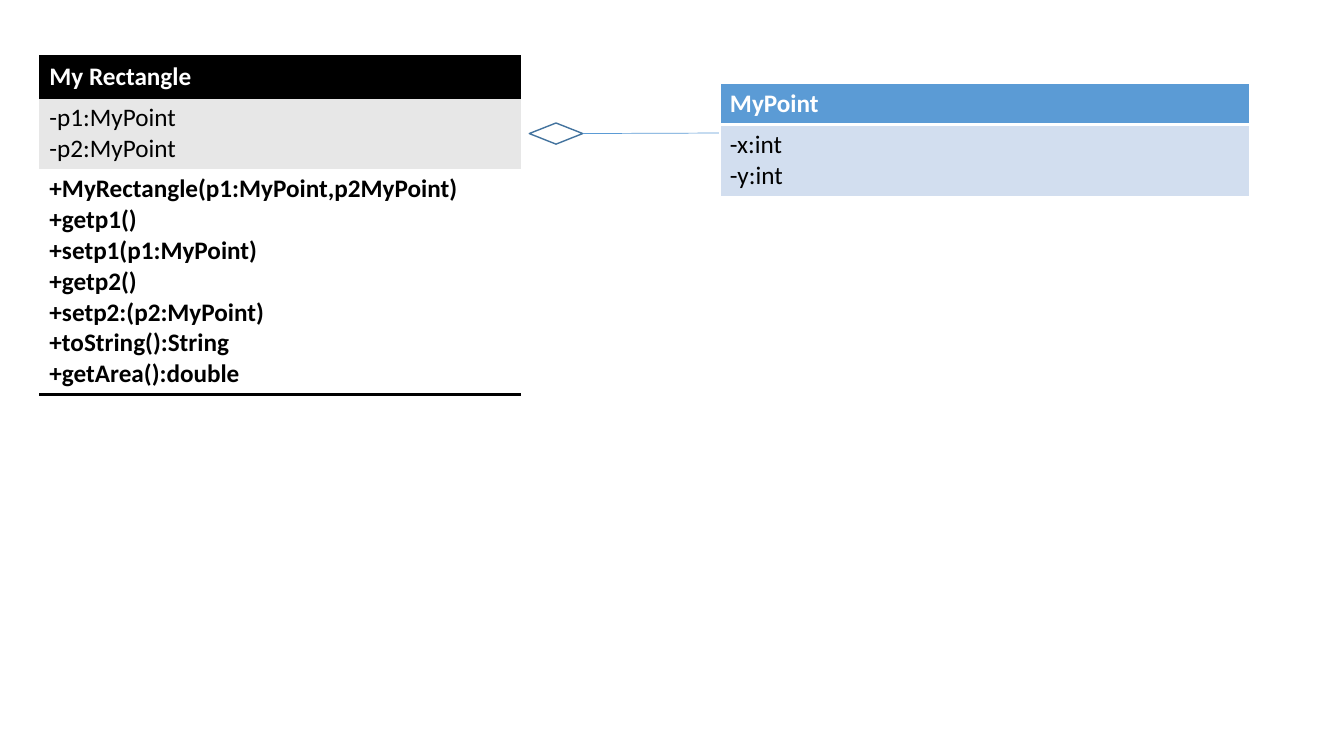
from lxml import etree
from pptx import Presentation, util as u
from pptx.dml.color import RGBColor
from pptx.enum import shapes
from pptx.oxml.ns import qn

COLORS = {"black": "000000", "white": "FFFFFF", "grey": "E7E7E7",
          "blue": "5B9BD5", "pale": "D2DEEF", "outline": "43739E"}
LINE_HEIGHT, ROW_PADDING = 0.305, 0.1


def rgb(name):
    return RGBColor.from_string(COLORS[name])


def set_borders(cell, borders):
    """Draw the given sides as (color, points); hide the others."""
    props = cell._tc.get_or_add_tcPr()
    for side in "LRTB":
        edge = etree.SubElement(props, qn(f"a:ln{side}"))
        if side not in borders:
            edge.set("w", "0")
            etree.SubElement(edge, qn("a:noFill"))
            continue
        color, points = borders[side]
        edge.set("w", str(u.Pt(points)))
        fill = etree.SubElement(edge, qn("a:solidFill"))
        etree.SubElement(fill, qn("a:srgbClr"), val=COLORS[color])


def add_class_box(slide, left, top, width, compartments):
    """One UML class: each compartment is (lines, fill, ink, bold, borders)."""
    heights = [len(part[0]) * LINE_HEIGHT + ROW_PADDING for part in compartments]
    table = slide.shapes.add_table(
        len(compartments), 1, u.Inches(left), u.Inches(top),
        u.Inches(width), u.Inches(sum(heights))).table
    table.horz_banding = False
    for i, (lines, fill, ink, bold, borders) in enumerate(compartments):
        table.rows[i].height = u.Inches(heights[i])
        cell = table.cell(i, 0)
        set_borders(cell, borders)
        cell.fill.solid()
        cell.fill.fore_color.rgb = rgb(fill)
        frame = cell.text_frame
        for n, line in enumerate(lines):
            paragraph = frame.add_paragraph() if n else frame.paragraphs[0]
            run = paragraph.add_run()
            run.text = line
            run.font.name, run.font.size = "Calibri", u.Pt(18)
            run.font.bold = bold
            run.font.color.rgb = rgb(ink)


def add_aggregation(slide, left, top, width, height, end_x, end_y):
    """Hollow diamond at the owner, with a line to the part."""
    diamond = slide.shapes.add_shape(
        shapes.MSO_SHAPE.DIAMOND, *map(u.Inches, (left, top, width, height)))
    diamond.shadow.inherit = False
    diamond.fill.solid()
    diamond.fill.fore_color.rgb = rgb("white")
    diamond.line.color.rgb = rgb("outline")
    diamond.line.width = u.Pt(1)

    link = slide.shapes.add_connector(
        shapes.MSO_CONNECTOR.STRAIGHT, u.Inches(left + width),
        u.Inches(top + height / 2), u.Inches(end_x), u.Inches(end_y))
    link.line.color.rgb = rgb("blue")
    link.line.width = u.Pt(0.5)
    etree.SubElement(link._element.spPr, qn("a:effectLst"))


def main():
    prs = Presentation()
    prs.slide_width, prs.slide_height = u.Inches(13.33), u.Inches(7.5)
    slide = prs.slides.add_slide(prs.slide_layouts[6])

    # MyRectangle class
    rule, thin, thick = ("black", 2), ("white", 1), ("white", 3)
    methods = ["+MyRectangle(p1:MyPoint,p2MyPoint)", "+getp1()",
               "+setp1(p1:MyPoint)", "+getp2()", "+setp2:(p2:MyPoint)",
               "+toString():String", "+getArea():double"]
    add_class_box(slide, 0.39, 0.56, 4.78, [
        (["My Rectangle"], "black", "white", True, {"T": rule, "B": rule}),
        (["-p1:MyPoint", "-p2:MyPoint"], "grey", "black", False, {"T": rule}),
        (methods, "white", "black", True, {"B": rule}),
    ])

    # Aggregation link
    add_aggregation(slide, 5.25, 1.22, 0.53, 0.21, 7.14, 1.32)

    # MyPoint class
    sides = {"L": thin, "R": thin}
    add_class_box(slide, 7.14, 0.83, 5.25, [
        (["MyPoint"], "blue", "white", True, {**sides, "T": thin, "B": thick}),
        (["-x:int", "-y:int"], "pale", "black", False,
         {**sides, "T": thick, "B": thin}),
    ])
    prs.save("out.pptx")


if __name__ == "__main__":
    main()
